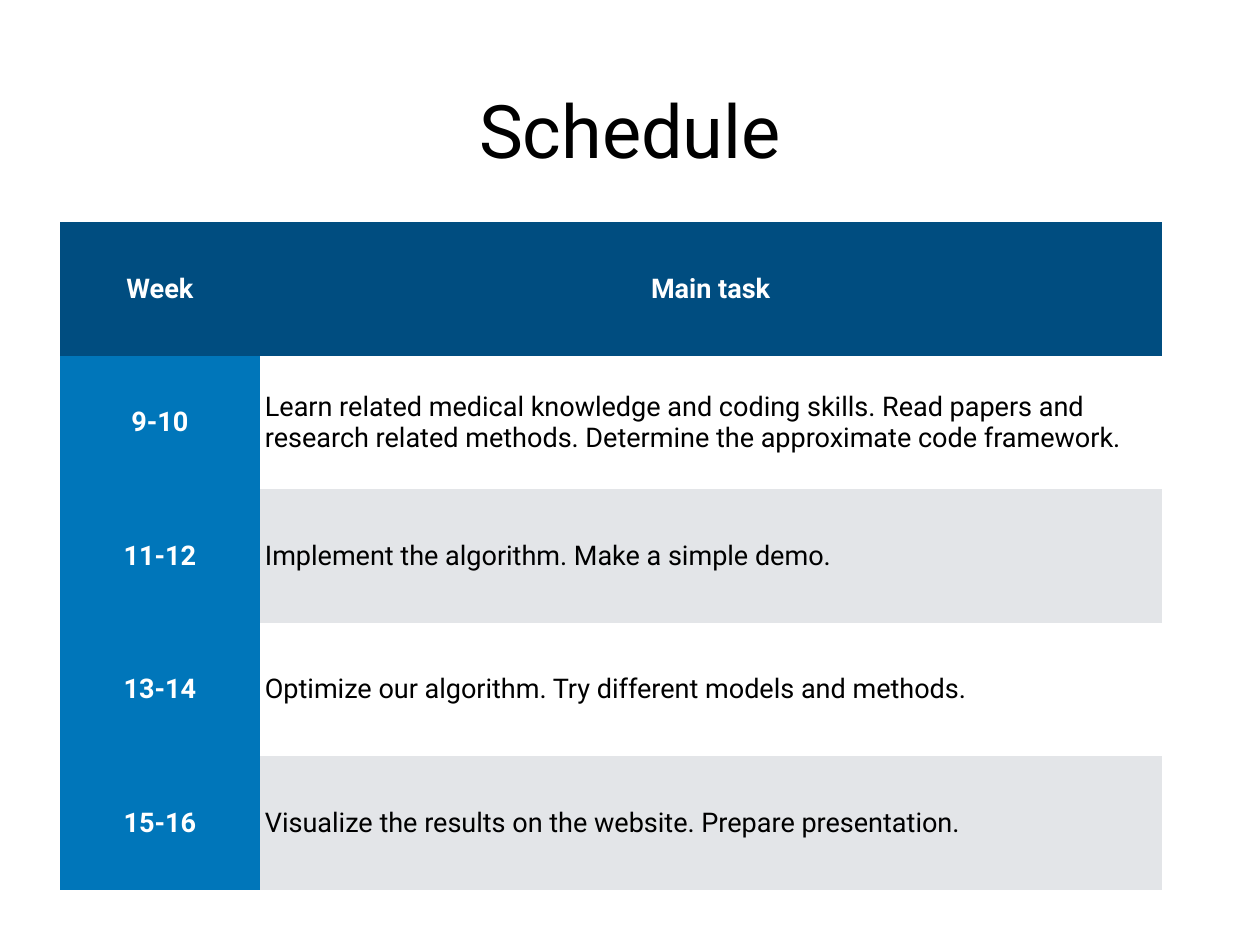
import pptx
import pptx.util
import pptx.dml.color
import pptx.enum.text
from pptx.util import Inches

TITLE = "Schedule"
ROWS = [
    ("Week", "Main task"),
    ("9-10", "Learn related medical knowledge and coding skills. Read papers and "
             "research related methods. Determine the approximate code framework."),
    ("11-12", "Implement the algorithm. Make a simple demo."),
    ("13-14", "Optimize our algorithm. Try different models and methods."),
    ("15-16", "Visualize the results on the website. Prepare presentation."),
]
FONT = "Roboto"
BLACK, WHITE = "000000", "FFFFFF"
HEADER, WEEK, BANDS = "004D80", "0076BA", ("E3E5E8", WHITE)
COL_WIDTHS = (2.25, 10.18)
LEFT, TOP, HEIGHT = 0.68, 2.51, 7.53
NO_GRID_STYLE = "{2D5ABB26-0587-4C30-8999-92F81FD0307C}"
CENTER = pptx.enum.text.PP_ALIGN.CENTER
ALIGN_LEFT = pptx.enum.text.PP_ALIGN.LEFT
MIDDLE = pptx.enum.text.MSO_ANCHOR.MIDDLE


def rgb(color):
    return pptx.dml.color.RGBColor.from_string(color)


def write(tf, text, size, color, bold, align):
    p = tf.paragraphs[0]
    p.alignment = align
    r = p.add_run()
    r.text = text
    r.font.name = FONT
    r.font.size = pptx.util.Pt(size)
    r.font.bold = bold
    r.font.color.rgb = rgb(color)


def set_insets(box, side, end):
    box.margin_left = box.margin_right = Inches(side)
    box.margin_top = box.margin_bottom = Inches(end)
    box.vertical_anchor = MIDDLE


def add_title(s):
    title = s.shapes.title
    title.left, title.top = Inches(1.04), Inches(0.28)
    title.width, title.height = Inches(12.14), Inches(2.36)
    tf = title.text_frame
    tf.word_wrap = True
    set_insets(tf, 0.06, 0.06)
    write(tf, TITLE, 60, BLACK, False, CENTER)


def add_schedule(s):
    frame = s.shapes.add_table(len(ROWS), len(COL_WIDTHS), Inches(LEFT), Inches(TOP),
                               Inches(sum(COL_WIDTHS)), Inches(HEIGHT))
    table = frame.table
    table.horz_banding = False
    frame._element.graphic.graphicData.tbl.tblPr[0].text = NO_GRID_STYLE
    for column, width in zip(table.columns, COL_WIDTHS):
        column.width = Inches(width)
    for i, row in enumerate(ROWS):
        table.rows[i].height = Inches(HEIGHT / len(ROWS))
        for j, text in enumerate(row):
            heading = i == 0 or j == 0
            fill = HEADER if i == 0 else WEEK if j == 0 else BANDS[i % 2]
            cell = table.cell(i, j)
            set_insets(cell, 0.06, 0.05)
            cell.fill.solid()
            cell.fill.fore_color.rgb = rgb(fill)
            write(cell.text_frame, text, 22, WHITE if heading else BLACK, heading,
                  CENTER if heading else ALIGN_LEFT)


def main():
    prs = pptx.Presentation()
    prs.slide_width, prs.slide_height = Inches(14.22), Inches(10.66)
    s = prs.slides.add_slide(prs.slide_layouts[5])
    add_title(s)
    add_schedule(s)
    prs.save("out.pptx")


if __name__ == "__main__":
    main()
